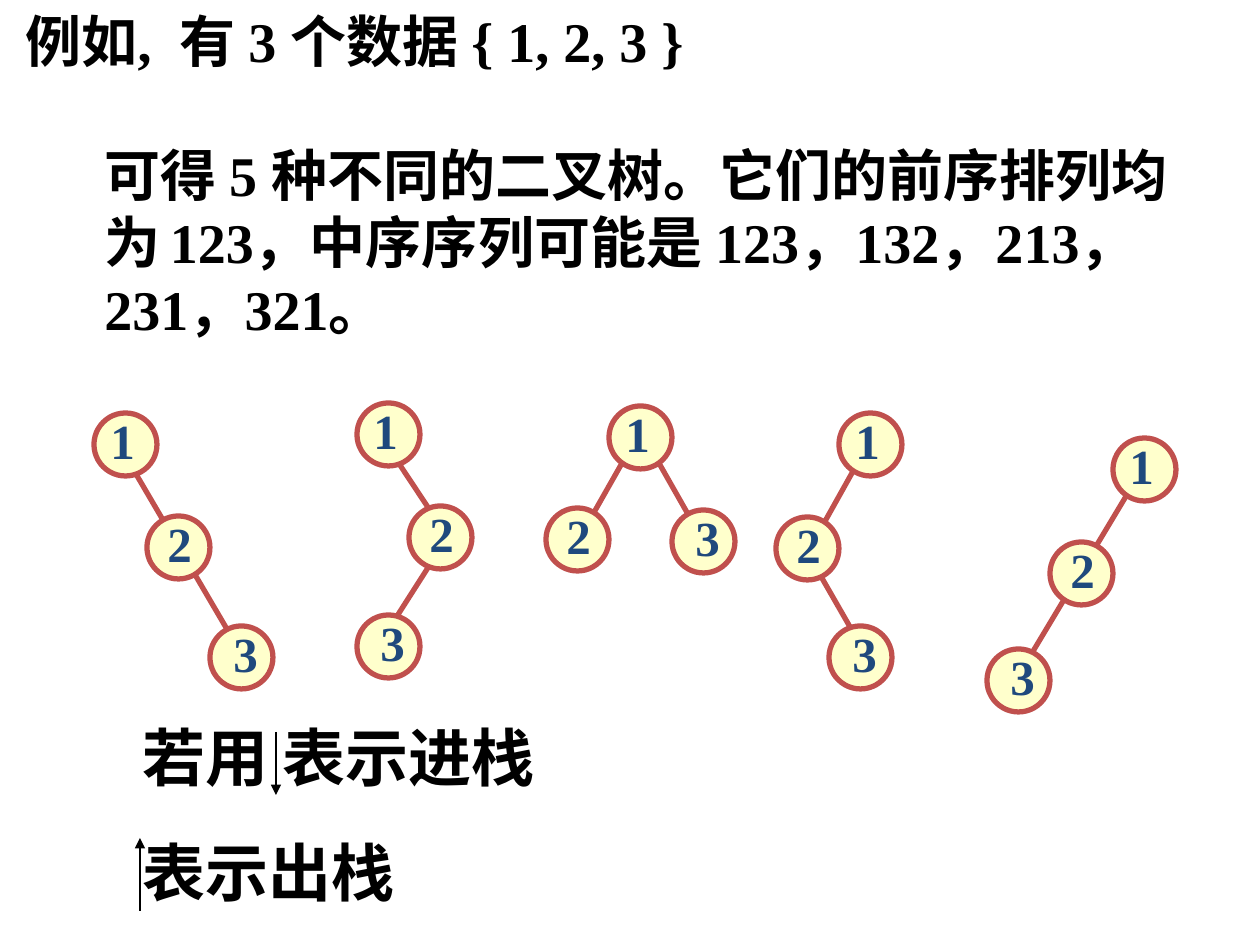
from lxml import etree
from pptx import Presentation
from pptx import util as u
from pptx.dml.color import RGBColor
from pptx.enum import shapes, text
from pptx.oxml import ns

PX = 914400 / 126
FONT = "Times New Roman"
BLACK = RGBColor(0x00, 0x00, 0x00)
NAVY = RGBColor(0x1F, 0x49, 0x7D)
RED = RGBColor(0xC0, 0x50, 0x4D)
CREAM = RGBColor(0xFF, 0xFF, 0xCC)
NODE = 63
SHIFT = (4, 8, 11)

TREES = [
    ((94, 413), [(0, 0), (53, 103), (116, 213)],
     [(32, 44, 137, 223)]),
    ((357, 403), [(0, 0), (52, 103), (0, 212)],
     [(31, 44, 94, 139), (74, 160, 21, 243)]),
    ((546, 406), [(63, 0), (0, 102), (126, 104)],
     [(84, 43, 42, 117), (105, 43, 147, 117)]),
    ((776, 413), [(63, 0), (0, 104), (53, 213)],
     [(85, 44, 43, 119), (43, 160, 85, 233)]),
    ((987, 438), [(126, 0), (63, 104), (0, 211)],
     [(147, 45, 42, 220)]),
]


def emu(*nums):
    return [u.Emu(round(n * PX)) for n in nums]


def add_run(para, words, size, color=BLACK, bold=True):
    run = para.add_run()
    run.text = words
    font = run.font
    font.name, font.size, font.bold = FONT, u.Pt(size), bold
    font.color.rgb = color
    return run


def add_text(slide, box, wrap=True):
    frame = slide.shapes.add_textbox(*emu(*box)).text_frame
    frame.word_wrap = wrap
    frame.auto_size = text.MSO_AUTO_SIZE.SHAPE_TO_FIT_TEXT
    return frame


def add_line(slide, ends, color, width, arrow=False):
    line = slide.shapes.add_connector(shapes.MSO_CONNECTOR.STRAIGHT, *emu(*ends))
    line.line.color.rgb = color
    line.line.width = u.Pt(width)
    if arrow:
        tail = etree.SubElement(line.line._get_or_add_ln(), ns.qn("a:tailEnd"))
        tail.set("type", "triangle")
    etree.SubElement(line._element.spPr, ns.qn("a:effectLst"))


def add_node(slide, left, top, num):
    ball = slide.shapes.add_shape(shapes.MSO_SHAPE.OVAL, *emu(left, top, NODE, NODE))
    ball.shadow.inherit = False
    ball.fill.solid()
    ball.fill.fore_color.rgb = CREAM
    ball.line.color.rgb = RED
    ball.line.width = u.Pt(3)
    frame = add_text(slide, (left + SHIFT[num - 1], top - 9, 49, 72), wrap=False)
    frame.vertical_anchor = text.MSO_ANCHOR.MIDDLE
    para = frame.paragraphs[0]
    para.alignment = text.PP_ALIGN.CENTER
    add_run(para, str(num), 28, NAVY)


def add_tree(slide, left, top, nodes, edges):
    for x1, y1, x2, y2 in edges:
        add_line(slide, (left + x1, top + y1, left + x2, top + y2), RED, 3)
    for num, (x, y) in enumerate(nodes, 1):
        add_node(slide, left + x, top + y, num)


def add_head(slide, box):
    para = add_text(slide, box, wrap=False).paragraphs[0]
    add_run(para, "例如,", 32)
    gap = add_run(para, " ", 32)
    gap._r.get_or_add_rPr().set("spc", "800")
    add_run(para, "有 3 个数据 { 1, 2, 3 }", 32)


def add_body(slide, box):
    para = add_text(slide, box).paragraphs[0]
    add_run(para, "可得 5 种不同的二叉树。它们的前序排列均为", 32)
    add_run(para, " ", 24, bold=False)
    add_run(para, "123，中序序列可能是 123，132，213，231，321。", 32)


def add_stack(slide, box):
    left, top = box[:2]
    frame = add_text(slide, box)
    add_run(frame.paragraphs[0], "若用 表示进栈", 36)
    para = frame.add_paragraph()
    para.space_before = u.Pt(22.5)
    add_run(para, "表示出栈", 36)
    for x, start, end in ((146, 20, 83), (10, 199, 126)):
        add_line(slide, (left + x, top + start, left + x, top + end),
                 BLACK, 0.75, arrow=True)


def main():
    deck = Presentation()
    deck.slide_width, deck.slide_height = emu(1260, 945)
    slide = deck.slides.add_slide(deck.slide_layouts[6])
    add_body(slide, (92, 134, 1094, 214))
    for (left, top), nodes, edges in TREES:
        add_tree(slide, left, top, nodes, edges)
    add_stack(slide, (130, 712, 987, 204))
    add_head(slide, (13, 0, 751, 81))
    deck.save("out.pptx")


if __name__ == "__main__":
    main()
